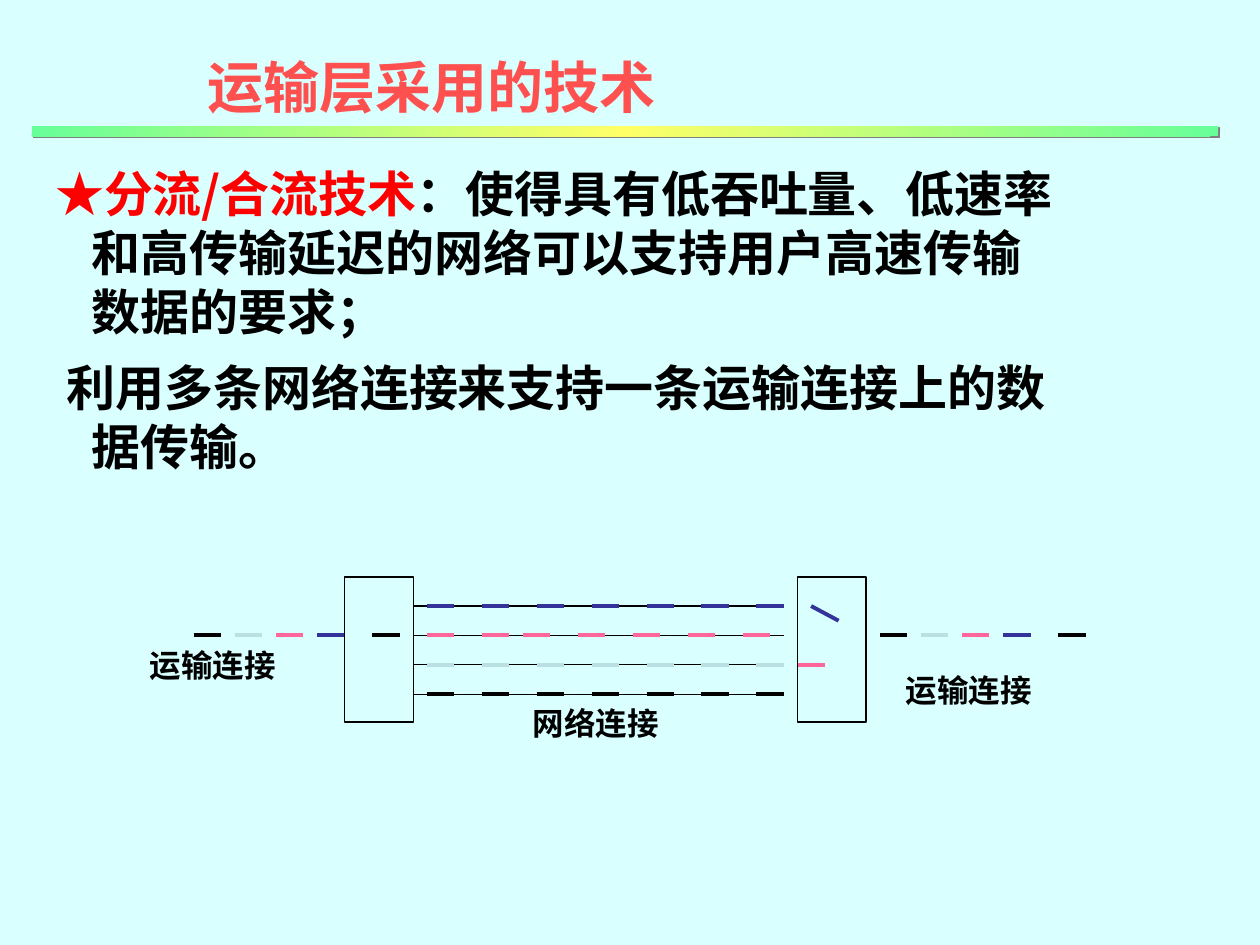
from lxml import etree
from pptx import Presentation, util as u
from pptx.dml.color import RGBColor
from pptx.enum import shapes, text
from pptx.oxml import parse_xml
from pptx.oxml.ns import qn

NS = 'xmlns:a="http://schemas.openxmlformats.org/drawingml/2006/main"'
FONT = "Noto Sans CJK SC"
HUE = dict(back="D9FFFF", title="FF5050", red="FF0000", black="000000", blue="333399",
           pink="FF6699", pale="BBE0E3", green="66FF99", gold="FFFF66", gray="808080")

TITLE = [("运输层采用的技术", FONT, "title")]
BODY = [
    (-0.29, 0, [("★", "Arial", "red"), ("分流/合流技术", FONT, "red"),
                ("：使得具有低吞吐量、低速率和高传输延迟的网络可以支持用户高速传输数据的要求；",
                 FONT, "black")]),
    (-0.2, 7, [("利用多条网络连接来支持一条运输连接上的数据传输。", FONT, "black")]),
]
LABELS = [("运输连接", 1.09, 5.08), ("网络连接", 4.13, 5.54), ("运输连接", 7.09, 5.28)]

LEFT, RIGHT, TOP, LOW = 3.28, 6.22, 4.81, 5.51
UNIT = (RIGHT - LEFT) / 27
ROW = (LOW - TOP) / 3
EVEN = range(1, 26, 4)
LANES = [("blue", EVEN), ("pink", (1, 5, 8, 12, 16, 20, 24)), ("pale", EVEN), ("black", EVEN)]
FLOW = [("black", -16), ("pale", -13), ("pink", -10), ("blue", -7), ("black", -3)]
SHIFT = 50
BOXES = (-5, 28)

deck = Presentation()
deck.slide_width, deck.slide_height = u.Inches(10), u.Inches(7.5)
slide = deck.slides.add_slide(deck.slide_layouts[6])


def color(name):
    return RGBColor.from_string(HUE[name])


def apply(item, **values):
    for key, value in values.items():
        setattr(item, key, value)


def rule(x, y, x2, y2, hue, width):
    ends = [u.Inches(v) for v in (x, y, x2, y2)]
    line = slide.shapes.add_connector(shapes.MSO_CONNECTOR.STRAIGHT, *ends)
    line.line.color.rgb = color(hue)
    line.line.width = u.Pt(width)
    etree.SubElement(line._element.spPr, qn("a:effectLst"))


def dash(col, row, hue, drop=0):
    x, y = LEFT + col * UNIT, TOP + row * ROW
    rule(x, y, x + 2 * UNIT, y + drop * ROW, hue, 2.25)


def rect(*place):
    box = slide.shapes.add_shape(shapes.MSO_SHAPE.RECTANGLE, *map(u.Inches, place))
    box.shadow.inherit = False
    return box


def frame(place, wrap):
    area = slide.shapes.add_textbox(*map(u.Inches, place)).text_frame
    apply(area, word_wrap=wrap, auto_size=text.MSO_AUTO_SIZE.NONE)
    return area


def write(para, runs, size):
    for words, face, hue in runs:
        run = para.add_run()
        run.text = words
        apply(run.font, size=u.Pt(size), bold=True, name=face)
        run.font.color.rgb = color(hue)
        east = etree.SubElement(run._r.get_or_add_rPr(), qn("a:ea"))
        east.set("typeface", FONT)


def paint_bar(bar):
    bar.line.fill.background()
    stops = "".join(f'<a:gs pos="{pos}"><a:srgbClr val="{HUE[hue]}"/></a:gs>'
                    for pos, hue in ((0, "green"), (50000, "gold"), (100000, "green")))
    fill = parse_xml(f'<a:gradFill {NS} rotWithShape="1"><a:gsLst>{stops}</a:gsLst>'
                     '<a:lin ang="2700000" scaled="0"/></a:gradFill>')
    props = bar._element.spPr
    props.find(qn("a:prstGeom")).addnext(fill)
    shade = parse_xml(f'<a:outerShdw {NS} dist="17780" dir="2700000" algn="ctr">'
                      f'<a:srgbClr val="{HUE["gray"]}"/></a:outerShdw>')
    props.find(qn("a:effectLst")).append(shade)


slide.background.fill.solid()
slide.background.fill.fore_color.rgb = color("back")

area = frame((0.25, 1.25, 8.33, 2.83), True)
for i, (indent, before, runs) in enumerate(BODY):
    para = area.add_paragraph() if i else area.paragraphs[0]
    props = para._p.get_or_add_pPr()
    props.set("marL", str(u.Inches(0.38)))
    props.set("indent", str(u.Inches(indent)))
    if before:
        para.space_before = u.Pt(before)
    else:
        para.space_after = u.Pt(3)
    write(para, runs, 28)

for row, (hue, cols) in enumerate(LANES):
    y = TOP + row * ROW
    rule(LEFT, y, RIGHT, y, "black", 0.75)
    for col in cols:
        dash(col, row, hue)

for hue, col in FLOW:
    dash(col, 1, hue)
    dash(col + SHIFT, 1, hue)
dash(29, 0, "blue", 0.5)
dash(28, 2, "pink")

for col in BOXES:
    box = rect(LEFT + col * UNIT, 4.58, 5 * UNIT, 1.15)
    box.fill.background()
    box.line.color.rgb = color("black")
    box.line.width = u.Pt(0.75)

for words, x, y in LABELS:
    label = frame((x, y, 1.2, 0.4), False)
    write(label.paragraphs[0], [(words, "Times New Roman", "black")], 18)

paint_bar(rect(0.25, 1, 9.42, 0.08))
head = frame((1.55, 0.21, 3.76, 0.8), False).paragraphs[0]
head.line_spacing = 1.3
write(head, TITLE, 32)

deck.save("out.pptx")
